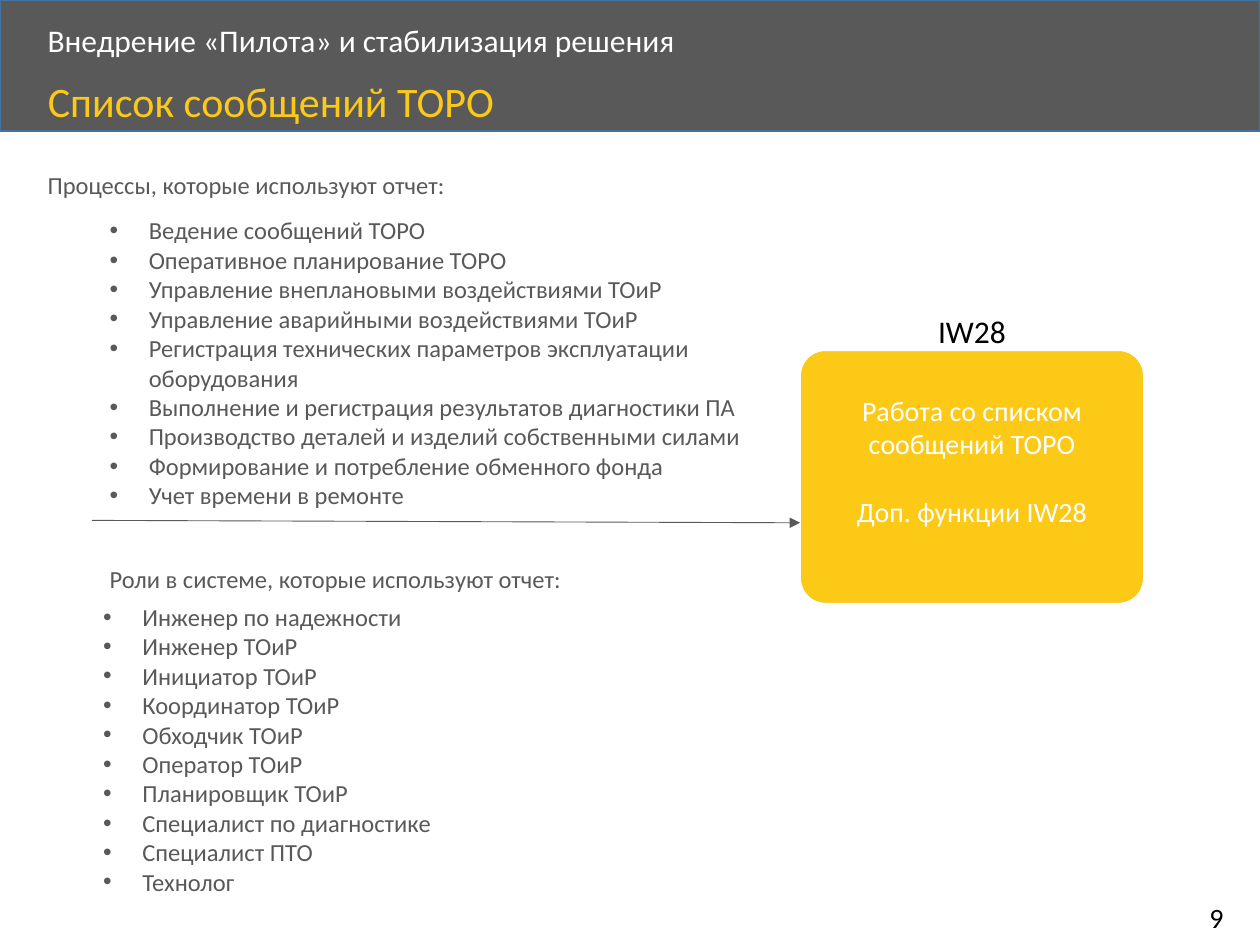
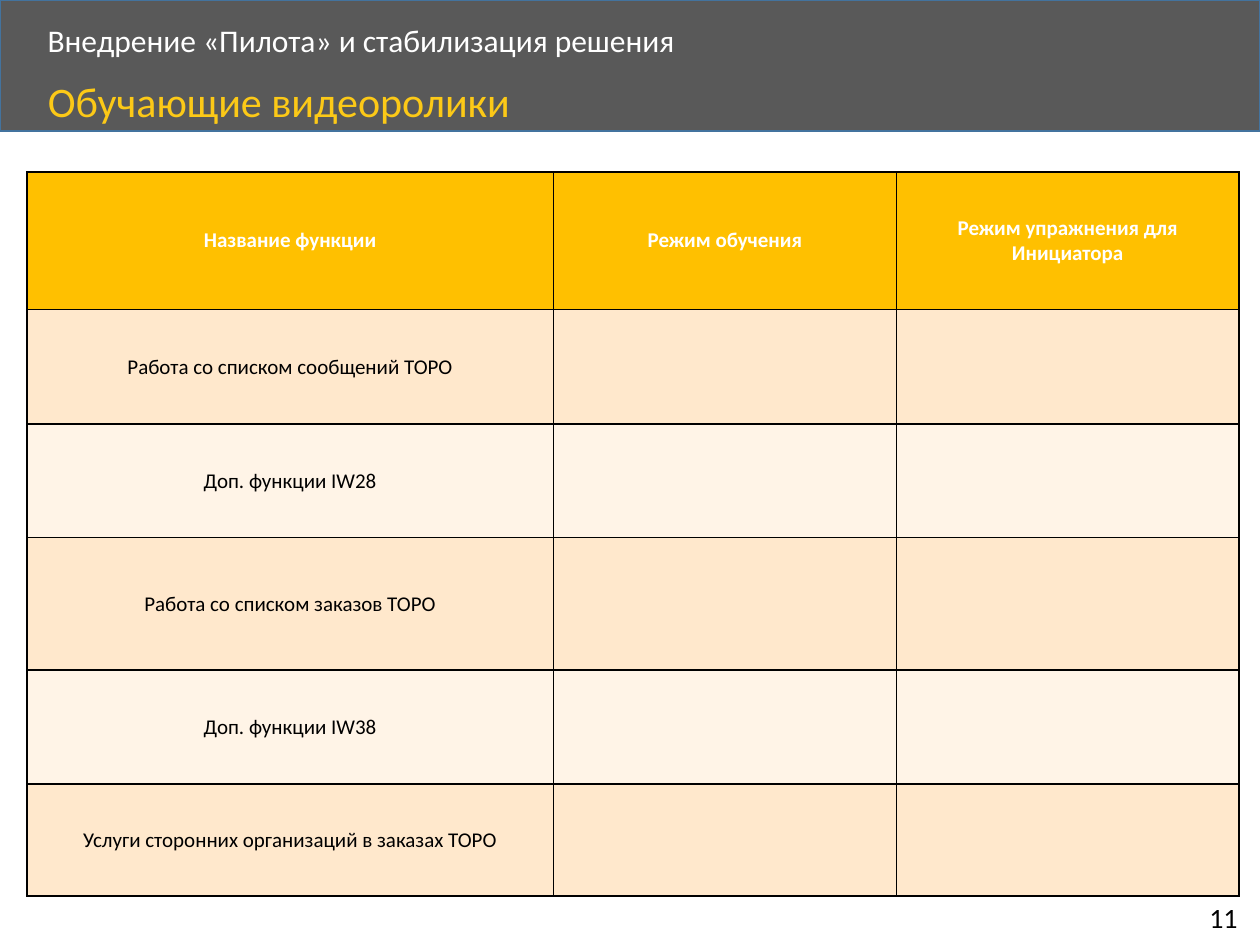
"""Builds two slides on the maintenance message list and its training videos."""
from lxml import etree
from pptx import Presentation
from pptx.dml.color import RGBColor
from pptx.enum.shapes import MSO_CONNECTOR, MSO_SHAPE
from pptx.enum.text import MSO_ANCHOR, MSO_AUTO_SIZE, PP_ALIGN
from pptx.oxml.ns import qn
from pptx.util import Cm, Pt

LEFT, CENTER = PP_ALIGN.LEFT, PP_ALIGN.CENTER
TOP, MIDDLE = MSO_ANCHOR.TOP, MSO_ANCHOR.MIDDLE
RECT, ROUND_RECT = MSO_SHAPE.RECTANGLE, MSO_SHAPE.ROUNDED_RECTANGLE
STRAIGHT = MSO_CONNECTOR.STRAIGHT
NO_FIT = MSO_AUTO_SIZE.NONE
FONT = "Calibri"
TITLE_ONLY = 5
COLORS = {
    "grey": "595959", "band_line": "43739E", "yellow": "FCC917",
    "white": "FFFFFF", "black": "000000", "header": "FFC000",
    "row_dark": "FFE8CC", "row_light": "FFF4E7",
}
STAGE = "Внедрение «Пилота» и стабилизация решения"
PROCESSES = [
    "Ведение сообщений ТОРО",
    "Оперативное планирование ТОРО",
    "Управление внеплановыми воздействиями ТОиР",
    "Управление аварийными воздействиями ТОиР",
    "Регистрация технических параметров эксплуатации оборудования",
    "Выполнение и регистрация результатов диагностики ПА",
    "Производство деталей и изделий собственными силами",
    "Формирование и потребление обменного фонда",
    "Учет времени в ремонте",
]
ROLES = [
    "Инженер по надежности", "Инженер ТОиР", "Инициатор ТОиР",
    "Координатор ТОиР", "Обходчик ТОиР", "Оператор ТОиР",
    "Планировщик ТОиР", "Специалист по диагностике", "Специалист ПТО",
    "Технолог",
]
VIDEO_HEADERS = ["Название функции", "Режим обучения", "Режим упражнения для Инициатора"]
VIDEO_FUNCTIONS = [
    "Работа со списком сообщений ТОРО", "Доп. функции IW28",
    "Работа со списком заказов ТОРО", "Доп. функции IW38",
    "Услуги сторонних организаций в заказах ТОРО",
]
VIDEO_COLUMNS = [10.62, 6.91, 6.91]
VIDEO_ROWS = [2.77, 2.31, 2.29, 2.67, 2.29, 2.26]


def rgb(name):
    """Return the named colour."""
    return RGBColor.from_string(COLORS[name])


def write(tf, text, size, color, align=LEFT, bold=False, line_spacing=None):
    """Fill a text frame and format all its runs alike."""
    tf.text = text
    for p in tf.paragraphs:
        p.alignment = align
        p.line_spacing = line_spacing
        for r in p.runs:
            r.font.name, r.font.size, r.font.bold = FONT, Pt(size), bold
            r.font.color.rgb = rgb(color)


def add_text(s, box, text, size, color, anchor=TOP, wrap=True, **style):
    """Add a text box at the given place in centimetres."""
    sp = s.shapes.add_textbox(*map(Cm, box))
    tf = sp.text_frame
    tf.word_wrap, tf.vertical_anchor = wrap, anchor
    write(tf, text, size, color, **style)
    return sp


def add_bullets(s, box, items):
    """Add a bulleted list."""
    sp = add_text(s, box, "\n".join(items), 14, "grey")
    for p in sp.text_frame.paragraphs:
        pPr = p._p.get_or_add_pPr()
        pPr.set("marL", str(Cm(0.79)))
        pPr.set("indent", str(-Cm(0.79)))
        etree.SubElement(pPr, qn("a:buFont"), typeface="Arial")
        etree.SubElement(pPr, qn("a:buChar"), char="•")


def add_box(s, kind, box, fill, line):
    """Add a filled shape with a thin outline."""
    sp = s.shapes.add_shape(kind, *map(Cm, box))
    sp.shadow.inherit = False
    sp.fill.solid()
    sp.fill.fore_color.rgb = rgb(fill)
    sp.line.color.rgb = rgb(line)
    sp.line.width = Pt(1)
    return sp


def add_card(s, box, paragraphs):
    """Add a rounded card with centred paragraphs one line apart."""
    sp = add_box(s, ROUND_RECT, box, "yellow", "white")
    sp.adjustments[0] = 0.1
    tf = sp.text_frame
    tf.word_wrap, tf.vertical_anchor = True, MIDDLE
    tf.margin_left = tf.margin_right = Cm(0.18)
    tf.margin_top, tf.margin_bottom = Cm(0), Cm(0.66)
    write(tf, "\n".join(paragraphs), 16, "white", align=CENTER)
    for p in tf.paragraphs[1:]:
        p.space_before = Pt(19.5)


def add_arrow(s, x1, y1, x2, y2):
    """Add a thin straight arrow."""
    cn = s.shapes.add_connector(STRAIGHT, Cm(x1), Cm(y1), Cm(x2), Cm(y2))
    cn.line.color.rgb = rgb("grey")
    cn.line.width = Pt(0.5)
    etree.SubElement(cn.line._get_or_add_ln(), qn("a:tailEnd"), type="triangle")
    etree.SubElement(cn._element.spPr, qn("a:effectLst"))


def add_borders(cell):
    """Draw a black one-point border on all four sides of a cell."""
    tcPr = cell._tc.get_or_add_tcPr()
    for side in ("lnL", "lnR", "lnT", "lnB"):
        ln = etree.SubElement(tcPr, qn(f"a:{side}"), w=str(Pt(1)))
        fill = etree.SubElement(ln, qn("a:solidFill"))
        etree.SubElement(fill, qn("a:srgbClr"), val=COLORS["black"])


def add_table(s, left, top, columns, heights, rows):
    """Add a table with a header row and alternating row colours."""
    frame = s.shapes.add_table(
        len(rows), len(columns), Cm(left), Cm(top), Cm(sum(columns)), Cm(sum(heights)))
    table = frame.table
    for column, width in zip(table.columns, columns):
        column.width = Cm(width)
    for i, (row, height, texts) in enumerate(zip(table.rows, heights, rows)):
        row.height = Cm(height)
        header = i == 0
        fill = "header" if header else "row_dark" if i % 2 else "row_light"
        for cell, text in zip(row.cells, texts):
            add_borders(cell)
            cell.fill.solid()
            cell.fill.fore_color.rgb = rgb(fill)
            cell.vertical_anchor = MIDDLE
            if not header:
                cell.margin_left = cell.margin_right = cell.margin_top = Cm(0.03)
                cell.margin_bottom = Cm(0)
            write(cell.text_frame, text, 12, "white" if header else "black",
                  align=CENTER, bold=header)


def add_slide(prs, title, number):
    """Add a slide with the header band, title and page number."""
    s = prs.slides.add_slide(prs.slide_layouts[TITLE_ONLY])
    band = add_box(s, RECT, (0, 0, 25.4, 2.64), "grey", "band_line")
    s.shapes._spTree.insert(2, band._element)
    add_text(s, (0.71, 0.36, 20.5, 0.97), STAGE, 18, "white",
             anchor=MIDDLE, line_spacing=0.9)
    sp = s.shapes.title
    sp.left, sp.top, sp.width, sp.height = map(Cm, (0.71, 1.5, 22.02, 1.14))
    tf = sp.text_frame
    tf.auto_size, tf.vertical_anchor, tf.word_wrap = NO_FIT, TOP, True
    write(tf, title, 24, "yellow", line_spacing=0.9)
    add_text(s, (24.13, 18.03, 1.17, 0.94), number, 16, "black")
    return s


def add_message_list(prs):
    """Add the slide on processes and roles that use the report."""
    s = add_slide(prs, "Список сообщений ТОРО", "9")
    add_card(s, (16.13, 7.06, 6.93, 5.11),
             ["Работа со списком сообщений ТОРО", "Доп. функции IW28"])
    add_text(s, (18.64, 6.17, 1.91, 1.02), "IW28", 18, "black",
             wrap=False, align=CENTER)
    add_arrow(s, 1.85, 10.49, 16.13, 10.54)
    add_text(s, (0.71, 3.3, 24.03, 0.86),
             "Процессы, которые используют отчет:", 14, "grey")
    add_bullets(s, (1.96, 4.22, 14.1, 6.83), PROCESSES)
    add_text(s, (1.96, 11.25, 23.4, 0.86),
             "Роли в системе, которые используют отчет:", 14, "grey")
    add_bullets(s, (1.83, 12.01, 23.04, 6.83), ROLES)


def add_videos(prs):
    """Add the slide with the table of training videos."""
    s = add_slide(prs, "Обучающие видеоролики", "11")
    rows = [VIDEO_HEADERS] + [[name, "", ""] for name in VIDEO_FUNCTIONS]
    add_table(s, 0.54, 3.47, VIDEO_COLUMNS, VIDEO_ROWS, rows)


def main():
    """Build and save the presentation."""
    prs = Presentation()
    prs.slide_width, prs.slide_height = Cm(25.4), Cm(19.05)
    add_message_list(prs)
    add_videos(prs)
    prs.save("out.pptx")


if __name__ == "__main__":
    main()
